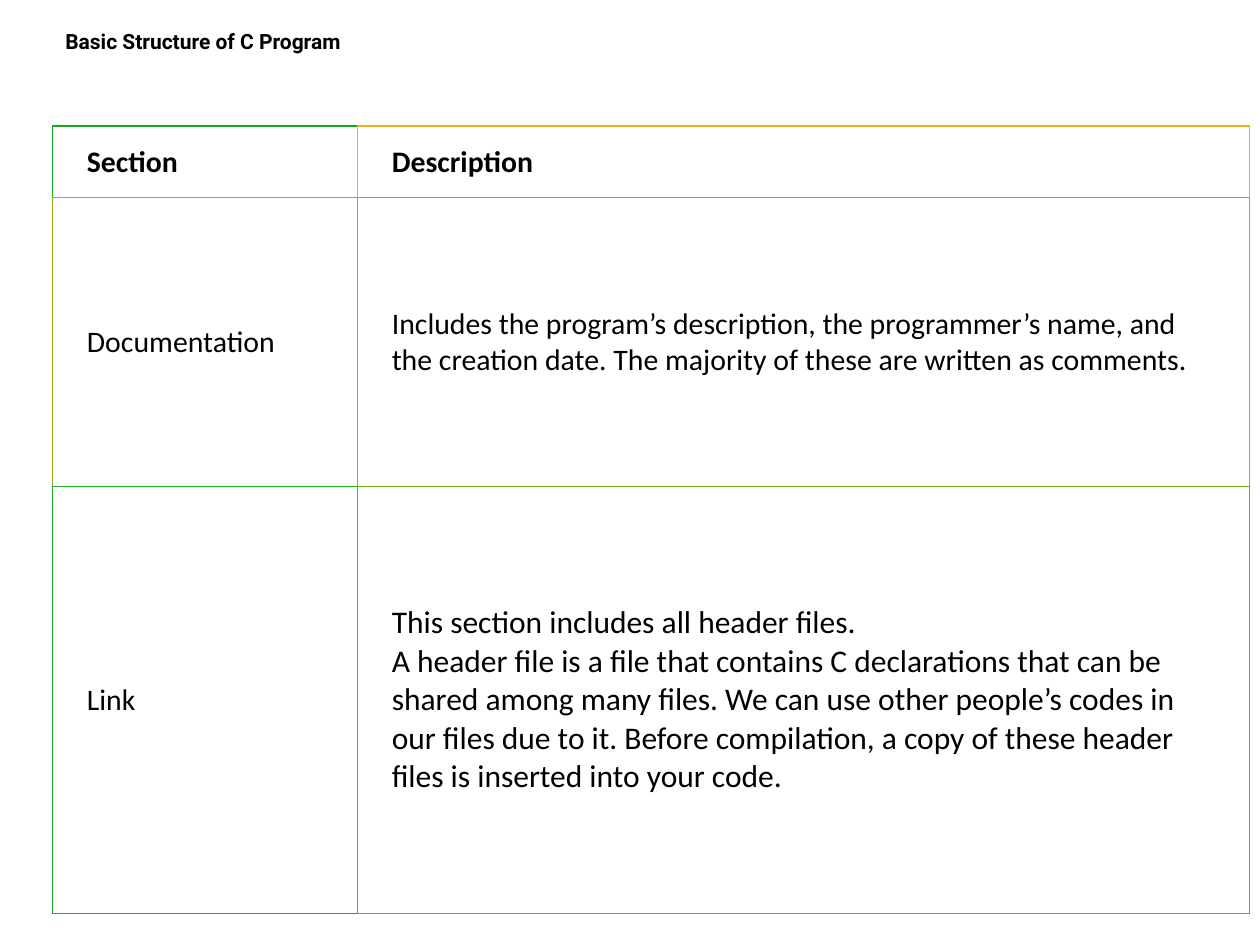
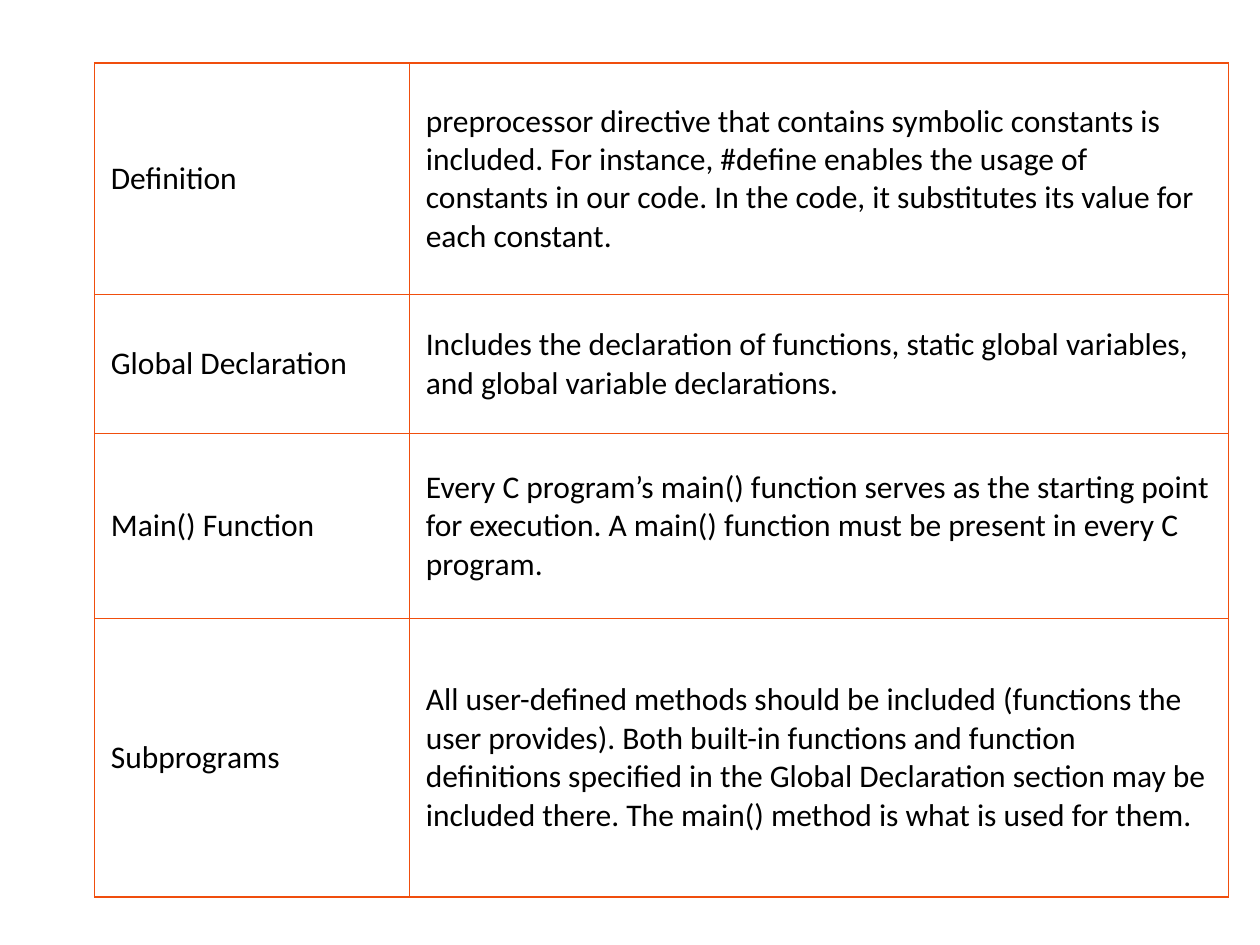
"""Build two slides that tabulate the sections of a C program."""
from lxml.etree import SubElement
from pptx import Presentation
from pptx.dml.color import RGBColor
from pptx.enum.shapes import MSO_SHAPE
from pptx.enum.text import MSO_ANCHOR, PP_ALIGN
from pptx.oxml.ns import qn
from pptx.util import Inches, Pt

BLACK = RGBColor(0x00, 0x00, 0x00)
WHITE = RGBColor(0xFF, 0xFF, 0xFF)
GREEN = RGBColor(0x10, 0xAB, 0x1E)
LEAF = RGBColor(0x20, 0xAB, 0x1E)
MOSS = RGBColor(0x70, 0xAA, 0x1E)
LIME = RGBColor(0x90, 0xAF, 0x1E)
OLIVE = RGBColor(0xA0, 0xAE, 0x1E)
AMBER = RGBColor(0xF0, 0xAF, 0x1E)
ORANGE = RGBColor(0xF0, 0x4E, 0x0D)

SIDES = ("lnL", "lnR", "lnT", "lnB")
HEADING = "Basic Structure of C Program"

OPENING_TABLE = {
    "left": 0.42, "top": 1, "columns": (2.42, 7.08), "heights": (0.57, 2.29, 3.39),
    "insets": (0.27, 0.13),
    "rows": [
        ("Section", "Description"),
        ("Documentation",
         "Includes the program’s description, the programmer’s name, and the creation date. "
         "The majority of these are written as comments."),
        ("Link",
         "This section includes all header files.\v"
         "A header file is a file that contains C declarations that can be shared among many "
         "files. We can use other people’s codes in our files due to it. Before compilation, "
         "a copy of these header files is inserted into your code."),
    ],
    "borders": [
        ((GREEN, AMBER, GREEN, OLIVE), (AMBER, AMBER, AMBER, LIME)),
        ((OLIVE, LIME, OLIVE, LEAF), (LIME, LIME, LIME, MOSS)),
        ((LEAF, MOSS, LEAF, LEAF), (MOSS,) * 4),
    ],
    "sizes": [(17, 17), (17, 17), (17, 18)],
    "header": True,
}

REMAINING_TABLE = {
    "left": 0.75, "top": 0.5, "columns": (2.5, 6.5), "heights": (1.84, 1.1, 1.47, 2.21),
    "insets": (0.13, 0.07),
    "rows": [
        ("Definition",
         "preprocessor directive that contains symbolic constants is included. For instance, "
         "#define enables the usage of constants in our code. In the code, it substitutes "
         "its value for each constant."),
        ("Global Declaration",
         "Includes the declaration of functions, static global variables, and global "
         "variable declarations."),
        ("Main() Function",
         "Every C program’s main() function serves as the starting point for execution. "
         "A main() function must be present in every C program."),
        ("Subprograms",
         "All user-defined methods should be included (functions the user provides). Both "
         "built-in functions and function definitions specified in the Global Declaration "
         "section may be included there. The main() method is what is used for them."),
    ],
    "borders": [((ORANGE,) * 4,) * 2] * 4,
    "sizes": [(18, 18)] * 4,
    "header": False,
}


def write_text(text_frame, text, size=18, font="Calibri", bold=False):
    """Put one formatted, left-aligned paragraph into a text frame."""
    paragraph = text_frame.paragraphs[0]
    paragraph.text = text
    paragraph.alignment = PP_ALIGN.LEFT
    for run in paragraph.runs:
        run.font.size = Pt(size)
        run.font.name = font
        run.font.bold = bold
        run.font.color.rgb = BLACK


def set_borders(cell, colors):
    """Draw the left, right, top and bottom lines of a cell."""
    properties = cell._tc.get_or_add_tcPr()
    for side, color in zip(SIDES, colors):
        line = SubElement(properties, qn(f"a:{side}"), w=str(Pt(0.75)))
        fill = SubElement(line, qn("a:solidFill"))
        SubElement(fill, qn("a:srgbClr"), val=str(color))
        SubElement(line, qn("a:prstDash"), val="solid")


def add_section_table(slide, layout):
    """Add a two-column table of program sections."""
    columns, heights, rows = layout["columns"], layout["heights"], layout["rows"]
    table = slide.shapes.add_table(
        len(rows), len(columns), Inches(layout["left"]), Inches(layout["top"]),
        Inches(sum(columns)), Inches(sum(heights))).table
    table.first_row = layout["header"]
    table.horz_banding = False
    for column, width in zip(table.columns, columns):
        column.width = Inches(width)
    for row, height in zip(table.rows, heights):
        row.height = Inches(height)
    side_inset, end_inset = map(Inches, layout["insets"])
    for row_index, texts in enumerate(rows):
        for column_index, text in enumerate(texts):
            cell = table.cell(row_index, column_index)
            set_borders(cell, layout["borders"][row_index][column_index])
            cell.fill.solid()
            cell.fill.fore_color.rgb = WHITE
            cell.vertical_anchor = MSO_ANCHOR.MIDDLE
            cell.margin_left = cell.margin_right = side_inset
            cell.margin_top = cell.margin_bottom = end_inset
            write_text(cell.text_frame, text, size=layout["sizes"][row_index][column_index],
                       bold=layout["header"] and row_index == 0)


def add_heading(slide, text):
    """Add the heading band above the table."""
    shape = slide.shapes.add_shape(
        MSO_SHAPE.RECTANGLE, Inches(0.42), Inches(0.25), Inches(10), Inches(0.5))
    shape.shadow.inherit = False
    shape.fill.solid()
    shape.fill.fore_color.rgb = WHITE
    shape.line.fill.background()
    frame = shape.text_frame
    frame.word_wrap = True
    frame.vertical_anchor = MSO_ANCHOR.MIDDLE
    frame.margin_left = frame.margin_right = Inches(0.1)
    frame.margin_top, frame.margin_bottom = Inches(0), Inches(0.34)
    write_text(frame, text, size=12, font="Roboto", bold=True)


def main():
    """Create and save the presentation."""
    presentation = Presentation()
    presentation.slide_width, presentation.slide_height = Inches(10), Inches(7.5)
    blank = presentation.slide_layouts[6]
    for layout, heading in ((OPENING_TABLE, HEADING), (REMAINING_TABLE, None)):
        slide = presentation.slides.add_slide(blank)
        add_section_table(slide, layout)
        if heading:
            add_heading(slide, heading)
    presentation.save("out.pptx")


if __name__ == "__main__":
    main()
